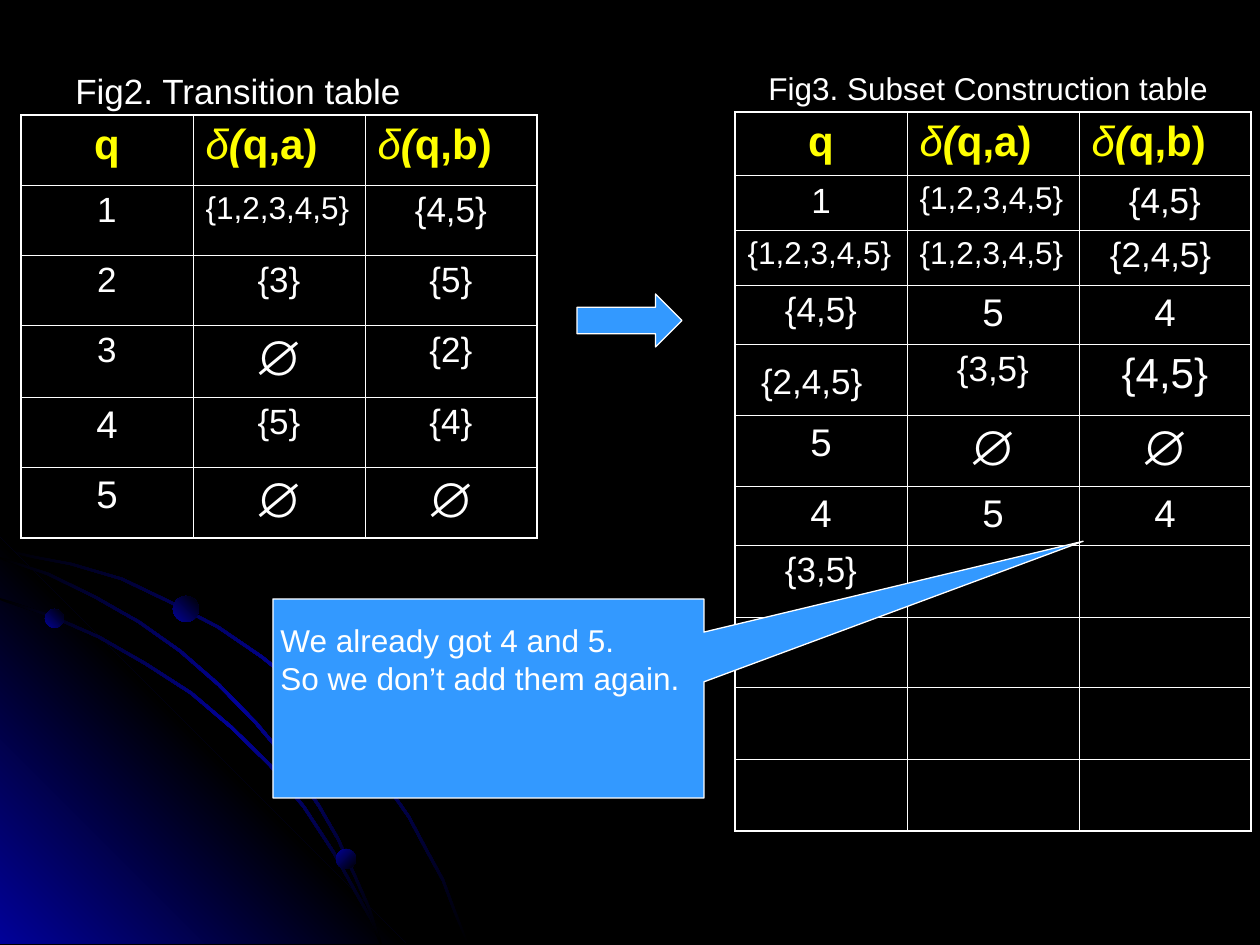
from copy import deepcopy

from pptx import Presentation
from pptx.dml.color import RGBColor
from pptx.enum.shapes import MSO_SHAPE
from pptx.enum.text import PP_ALIGN
from pptx.oxml import parse_xml
from pptx.oxml.ns import nsdecls, qn
from pptx.util import Inches, Pt

PX = Inches(10) / 1260
BLACK = RGBColor(0x00, 0x00, 0x00)
WHITE = RGBColor(0xFF, 0xFF, 0xFF)
YELLOW = RGBColor(0xFF, 0xFF, 0x00)
NAVY = RGBColor(0x01, 0x01, 0x99)
SKY = RGBColor(0x33, 0x99, 0xFF)
FONT = "Arial"
EMPTY, ALL = "∅", "{1,2,3,4,5}"
SIZES = {ALL: 18, "4": 22, "5": 22, EMPTY: 28}
HEADERS = ("q", "q,a)", "q,b)")
COLUMN_WIDTH = 172

TABLES = [
    {
        "at": (21, 115),
        "heights": (70, 70, 70, 72, 70, 71),
        "rows": [("1", ALL, "{4,5}"), ("2", "{3}", "{5}"), ("3", EMPTY, "{2}"),
                 ("4", "{5}", "{4}"), ("5", EMPTY, EMPTY)],
        "sizes": {},
        "insets": {},
    },
    {
        "at": (735, 112),
        "heights": (63, 55, 55, 59, 71, 71, 59, 72, 71, 72, 71),
        "rows": [("1", ALL, "{4,5}"), (ALL, ALL, "{2,4,5}"), ("{4,5}", "5", "4"),
                 ("{2,4,5}", "{3,5}", "{4,5}"), ("5", EMPTY, EMPTY), ("4", "5", "4"),
                 ("{3,5}", "", "")] + [("", "", "")] * 3,
        "sizes": {(4, 2): 24},
        "insets": {(2, 2): (31, 6), (4, 0): (26, 19)},
    },
]
TEXTS = [
    ((63, 63, 1134, 624), 20, True, ["Fig2. Transition table"]),
    ((268, 615, 425, 88), 18, False, ["We already got 4 and 5.", "So we don’t add them again."]),
    ((756, 63, 465, 50), 18, False, ["Fig3. Subset Construction table"]),
]
CALLOUTS = [
    (MSO_SHAPE.RIGHT_ARROW, (577, 294, 105, 53), (0.5, 0.5)),
    (MSO_SHAPE.RECTANGULAR_CALLOUT, (273, 599, 431, 199), (1.38, -0.79)),
]
OUTER_ARC = [(0, 548), (35, 556), (72, 563), (123, 578), (171, 601), (219, 626), (263, 656),
             (305, 690), (343, 728), (378, 770), (410, 816), (427, 848), (444, 879),
             (456, 911), (469, 944)]
INNER_ARC = [(0, 598), (52, 615), (100, 636), (147, 663), (192, 692), (232, 726), (271, 764),
             (305, 806), (335, 852), (360, 897), (373, 920), (382, 944)]
MIDDLE_ARC = [(0, 557), (49, 573), (96, 596), (140, 621), (181, 650), (220, 684), (257, 722),
              (289, 760), (320, 805), (339, 838), (355, 873), (370, 907), (382, 944)]
CORNER = [(406, 944), (0, 944), (0, 538)]
DOTS = [((45, 609, 19), 45), ((336, 849, 20), 315), ((173, 596, 26), 45)]


def px(*lengths):
    return [round(length * PX) for length in lengths]


def shade(shape, colours, angle):
    shape.shadow.inherit = False
    shape.line.fill.background()
    shape.fill.gradient()
    shape.fill.gradient_angle = angle
    stop_list = shape._element.spPr.find(".//" + qn("a:gsLst"))
    while len(stop_list) < len(colours):
        stop_list.insert(1, deepcopy(stop_list[0]))
    for index, (stop, colour) in enumerate(zip(shape.fill.gradient_stops, colours)):
        stop.position = index / (len(colours) - 1)
        stop.color.rgb = colour


def add_outline(page, points, colours, angle):
    builder = page.shapes.build_freeform(*points[0], scale=PX)
    builder.add_line_segments(points[1:], close=True)
    shade(builder.convert_to_shape(), colours, angle)


def add_arc(page, edge):
    under = [(max(x - 2, 0), min(y + 2, 944)) for x, y in reversed(edge)]
    add_outline(page, edge + under, (BLACK, NAVY, BLACK), 315)


def add_backdrop(page):
    page.background.fill.solid()
    page.background.fill.fore_color.rgb = BLACK
    add_arc(page, OUTER_ARC)
    add_outline(page, CORNER, (NAVY, BLACK, NAVY), 45)
    add_arc(page, INNER_ARC)
    add_arc(page, MIDDLE_ARC)
    for (left, top, size), angle in DOTS:
        dot = page.shapes.add_shape(MSO_SHAPE.OVAL, *px(left, top, size, size))
        shade(dot, (NAVY, BLACK), angle)


def style(para, size, colour=WHITE):
    para.font.name = FONT
    para.font.size = Pt(size)
    para.font.color.rgb = colour


def write_header(para, text):
    style(para, 24, YELLOW)
    spans = [(text, True, False)]
    if text == "q":
        para.alignment = PP_ALIGN.CENTER
    else:
        spans = [("δ", False, True), ("(", True, True)] + spans
    for words, bold, italic in spans:
        span = para.add_run()
        span.text = words
        span.font.bold = bold
        span.font.italic = italic


def set_borders(cell, outer_sides):
    for side in "LRTB":
        width = Pt(1.08 if side in outer_sides else 0.45)
        cell._tc.get_or_add_tcPr().append(parse_xml(
            f'<a:ln{side} {nsdecls("a")} w="{width}"><a:solidFill>'
            f'<a:srgbClr val="{WHITE}"/></a:solidFill></a:ln{side}>'))
    cell.fill.background()


def add_grid(page, content):
    rows = [HEADERS] + content["rows"]
    heights = content["heights"]
    last_row, last_column = len(rows) - 1, len(HEADERS) - 1
    frame = page.shapes.add_table(len(rows), len(HEADERS), *px(
        *content["at"], COLUMN_WIDTH * len(HEADERS), sum(heights)))
    table = frame.table
    table.first_row = table.horz_banding = False
    for column in table.columns:
        column.width = px(COLUMN_WIDTH)[0]
    for r, texts in enumerate(rows):
        table.rows[r].height = px(heights[r])[0]
        for c, text in enumerate(texts):
            cell = table.cell(r, c)
            edges = {"L": c == 0, "R": c == last_column, "T": r == 0, "B": r == last_row}
            set_borders(cell, [side for side in edges if edges[side]])
            para = cell.text_frame.paragraphs[0]
            if r == 0:
                write_header(para, text)
                continue
            para.text = text
            style(para, content["sizes"].get((r, c), SIZES.get(text, 20)))
            if (r, c) in content["insets"]:
                cell.margin_left, cell.margin_top = px(*content["insets"][r, c])
            elif text != ALL:
                para.alignment = PP_ALIGN.CENTER


def add_text(page, bounds, size, wrap, lines):
    box = page.shapes.add_textbox(*px(*bounds))
    box.text_frame.word_wrap = wrap
    box.text_frame.text = "\n".join(lines)
    for para in box.text_frame.paragraphs:
        style(para, size)


def add_callout(page, kind, bounds, adjustments):
    shape = page.shapes.add_shape(kind, *px(*bounds))
    shape.shadow.inherit = False
    for index, value in enumerate(adjustments):
        shape.adjustments[index] = value
    shape.fill.solid()
    shape.fill.fore_color.rgb = SKY
    shape.line.color.rgb = WHITE
    shape.line.width = Pt(0.75)


def main():
    """Build the slide on transition and subset construction tables."""
    deck = Presentation()
    deck.slide_width, deck.slide_height = px(1260, 945)
    page = deck.slides.add_slide(deck.slide_layouts[6])
    add_backdrop(page)
    for content in TABLES:
        add_grid(page, content)
    for callout in CALLOUTS:
        add_callout(page, *callout)
    for text in TEXTS:
        add_text(page, *text)
    deck.save("out.pptx")


if __name__ == "__main__":
    main()
